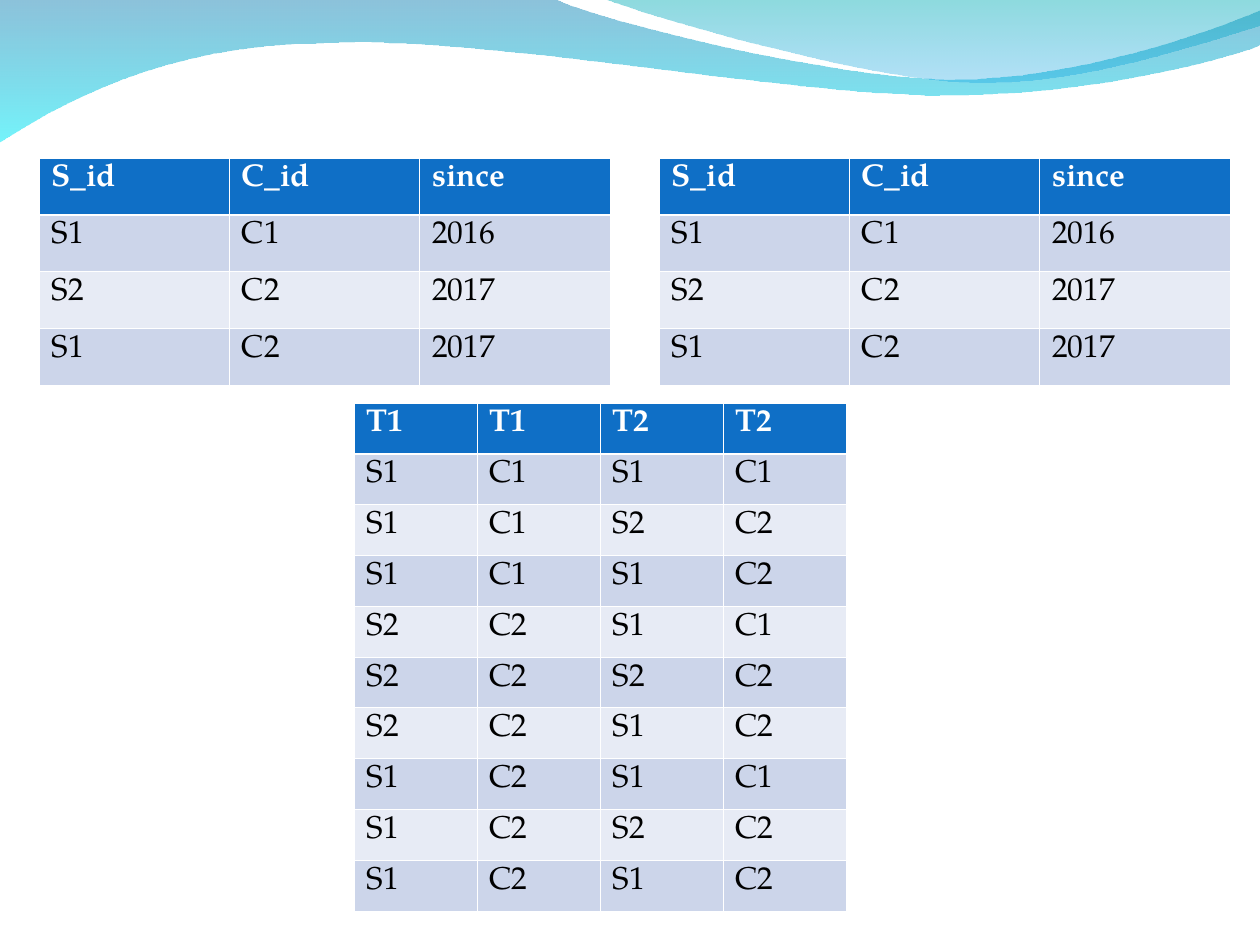
from dataclasses import dataclass
from itertools import product

from lxml import etree
from pptx import Presentation
from pptx import util as u
from pptx.dml.color import RGBColor
from pptx.oxml import ns

PX = u.Inches(1) / 126


def emu(px):
    return u.Emu(round(px * PX))


@dataclass(frozen=True)
class Theme:
    font: str = "TeX Gyre Pagella"
    size: int = 18
    white: str = "FFFFFF"
    black: str = "000000"
    header: str = "0F6FC6"
    bands: tuple = ("CCD5EA", "E7EBF5")
    thin: float = 0.45
    thick: float = 1.47
    # gradient stops: colour and opacity in percent
    wide_wave: tuple = (("0079AF", 45), ("00EBF8", 55))
    right_wave: tuple = (("00ADB6", 45), ("009BE5", 30))


def write(tf, text, font, size, color, bold=False):
    r = tf.paragraphs[0].add_run()
    r.text = text
    r.font.name = font
    r.font.size = u.Pt(size)
    r.font.bold = bold
    r.font.color.rgb = RGBColor.from_string(color)


def set_borders(cell, color, **widths):
    """Set the sides L, R, T and B, in that order, to widths in points."""
    tcPr = cell._tc.get_or_add_tcPr()
    for i, (side, width) in enumerate(widths.items()):
        ln = etree.Element(ns.qn(f"a:ln{side}"), w=str(u.Pt(width)))
        fill = etree.SubElement(ln, ns.qn("a:solidFill"))
        etree.SubElement(fill, ns.qn("a:srgbClr"), val=color)
        tcPr.insert(i, ln)


def bend(sp, segments):
    """Join the line ends of each three-point segment into one Bezier curve."""
    lines = iter(list(sp._element.spPr.iter(ns.qn("a:lnTo"))))
    for seg in segments:
        first, *others = [next(lines) for _ in seg]
        if others:
            cubic = etree.Element(ns.qn("a:cubicBezTo"))
            first.addprevious(cubic)
            for line in (first, *others):
                cubic.append(line[0])
                line.getparent().remove(line)


class SlideBuilder:
    def __init__(self, s, theme):
        self.s, self.theme = s, theme

    def wave(self, start, segments, stops):
        """Draw a closed outline; a segment is one line end or three curve points."""
        points = [(emu(x), emu(y)) for seg in segments for x, y in seg]
        builder = self.s.shapes.build_freeform(emu(start[0]), emu(start[1]))
        builder.add_line_segments(points, close=True)
        sp = builder.convert_to_shape()
        bend(sp, segments)
        sp.shadow.inherit = False
        sp.line.fill.background()
        sp.fill.gradient()
        sp.fill.gradient_angle = 270
        for stop, (color, _) in zip(sp.fill.gradient_stops, stops):
            stop.color.rgb = RGBColor.from_string(color)
        for clr, (_, opacity) in zip(sp._element.spPr.iter(ns.qn("a:srgbClr")), stops):
            etree.SubElement(clr, ns.qn("a:alpha"), val=str(opacity * 1000))

    def table(self, x, y, w, h, rows):
        th = self.theme
        n_rows, n_cols = len(rows), len(rows[0])
        table = self.s.shapes.add_table(
            n_rows, n_cols, emu(x), emu(y), emu(w), emu(h)).table
        for col in table.columns:
            col.width = emu(w / n_cols)
        for i, values in enumerate(rows):
            table.rows[i].height = emu(h / n_rows)
            head = i == 0
            for j, value in enumerate(values):
                cell = table.cell(i, j)
                cell.fill.solid()
                cell.fill.fore_color.rgb = RGBColor.from_string(
                    th.header if head else th.bands[(i - 1) % 2])
                set_borders(cell, th.white, L=th.thin, R=th.thin,
                            T=th.thick if i == 1 else th.thin,
                            B=th.thick if head else th.thin)
                write(cell.text_frame, value, font=th.font, size=th.size,
                      color=th.white if head else th.black, bold=head)


def main():
    prs = Presentation()
    prs.slide_width, prs.slide_height = emu(1260), emu(945)
    theme = Theme()
    slide = SlideBuilder(prs.slides.add_slide(prs.slide_layouts[6]), theme)

    slide.wave((0, -1), [
        [(554, -1)],
        [(600, 21), (837, 79), (955, 79)],
        [(1075, 79), (1207, 33), (1260, 11)],
        [(1261, 45)],
        [(1239, 55), (1096, 96), (940, 95)],
        [(784, 95), (481, 35), (324, 43)],
        [(163, 44), (58, 105), (-1, 142)],
        [(0, -1)],
    ], theme.wide_wave)
    slide.wave((604, -1), [
        [(641, 14), (859, 78), (969, 82)],
        [(1079, 87), (1211, 40), (1260, 26)],
        [(1260, 0)],
        [(604, -1)],
    ], theme.right_wave)

    enrolled = [("S1", "C1", "2016"), ("S2", "C2", "2017"), ("S1", "C2", "2017")]
    pairs = [a[:2] + b[:2] for a, b in product(enrolled, repeat=2)]
    slide.table(354, 403, 492, 508, [("T1", "T1", "T2", "T2")] + pairs)
    for x in (39, 659):
        slide.table(x, 158, 571, 227, [("S_id", "C_id", "since")] + enrolled)

    prs.save("out.pptx")


if __name__ == "__main__":
    main()
